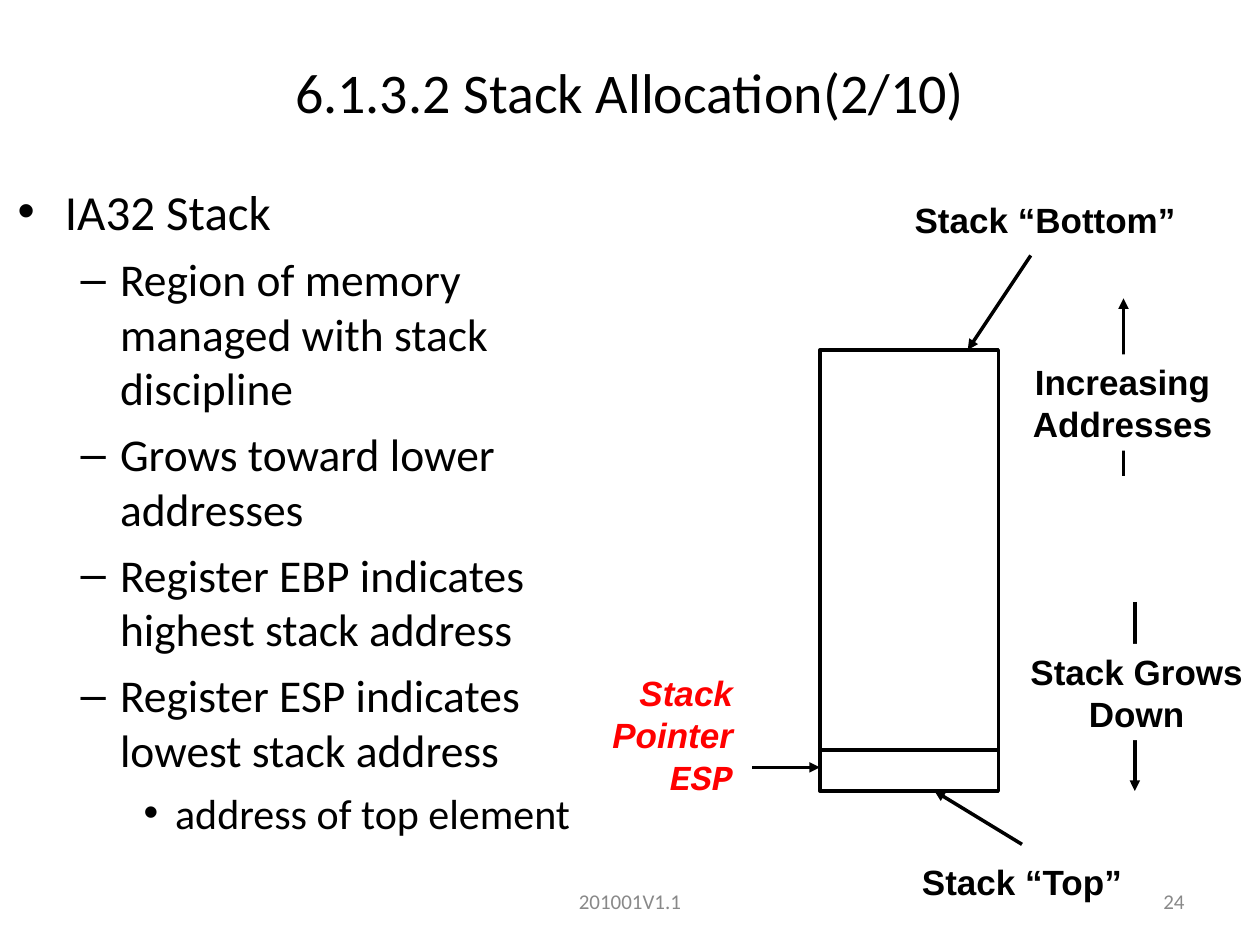
import pptx
import pptx.util
import pptx.dml.color
import pptx.enum.shapes
import pptx.enum.text
import pptx.oxml
import pptx.oxml.ns
import lxml.etree

Pt = pptx.util.Pt
Align = pptx.enum.text.PP_ALIGN
Anchor = pptx.enum.text.MSO_ANCHOR
Shape = pptx.enum.shapes.MSO_SHAPE
Line = pptx.enum.shapes.MSO_CONNECTOR.STRAIGHT

BLACK, WHITE, GREY, RED = "000000", "FFFFFF", "898989", "FF0000"

POINTS = [
    (0, "IA32 Stack"),
    (1, "Region of memory managed with stack discipline"),
    (1, "Grows toward lower addresses"),
    (1, "Register EBP indicates highest stack address"),
    (1, "Register ESP indicates lowest stack address"),
    (2, "address of top element"),
]
LEVELS = [
    {"char": "•", "size": 28, "left": 27, "hang": 27, "gap": 7},
    {"char": "–", "size": 26, "left": 58.5, "hang": 22.5, "gap": 6.5},
    {"char": "•", "size": 24, "left": 90, "hang": 18, "gap": 6},
]
LABELS = [
    (240, 258, 135, 55, ["Stack Grows", "Down"]),
    (241, 92.5, 117, 55, ["Increasing", "Addresses"]),
    (177, 378, 130, 31, ["Stack “Top”"]),
    (173.5, 0, 163.5, 31, ["Stack “Bottom”"]),
]


def color(code):
    return pptx.dml.color.RGBColor.from_string(code)


def style(par, face, size, code, align, bold=False, slant=False):
    par.alignment = align
    font = par.font
    font.name, font.size = face, Pt(size)
    font.bold, font.italic = bold, slant
    font.color.rgb = color(code)


def add_text(slide, box, wrap=True, anchor=Anchor.TOP):
    frame = slide.shapes.add_textbox(*map(Pt, box)).text_frame
    frame.word_wrap = wrap
    frame.vertical_anchor = anchor
    return frame


def add_lines(frame, lines):
    frame.text = "\n".join(lines)
    return frame.paragraphs


def add_line(slide, start, end, arrow=True):
    line = slide.shapes.add_connector(Line, *map(Pt, start + end))
    line.line.color.rgb = color(BLACK)
    line.line.width = Pt(2)
    tag = pptx.oxml.ns.qn
    if arrow:
        edge = line.line._get_or_add_ln()
        lxml.etree.SubElement(edge, tag("a:tailEnd"), type="triangle")
    lxml.etree.SubElement(line._element.spPr, tag("a:effectLst"))


def add_bullet(par, level):
    props = par._p.get_or_add_pPr()
    props.set("marL", str(Pt(level["left"])))
    props.set("indent", str(-Pt(level["hang"])))
    tag = pptx.oxml.ns.qn
    lxml.etree.SubElement(props, tag("a:buFont"), typeface="Arial")
    lxml.etree.SubElement(props, tag("a:buChar"), char=level["char"])


def add_title(slide, box, text):
    title = slide.shapes.title
    title.left, title.top, title.width, title.height = map(Pt, box)
    title.text_frame.vertical_anchor = Anchor.MIDDLE
    title.text_frame.text = text
    style(title.text_frame.paragraphs[0], "Calibri", 32, BLACK, Align.CENTER)


def add_list(slide, box):
    frame = add_text(slide, box)
    pars = add_lines(frame, [text for _, text in POINTS])
    for spot, (par, (depth, _)) in enumerate(zip(pars, POINTS)):
        level = LEVELS[depth]
        par.level = depth
        add_bullet(par, level)
        par.space_before = Pt(level["gap"] if spot else 0)
        style(par, "Calibri", level["size"], BLACK, Align.LEFT)


def add_label(slide, box, lines):
    label = slide.shapes.add_shape(Shape.RECTANGLE, *map(Pt, box))
    label.shadow.inherit = False
    label.fill.solid()
    label.fill.fore_color.rgb = color(WHITE)
    label.line.fill.background()
    frame = label.text_frame
    frame.word_wrap = False
    frame.vertical_anchor = Anchor.TOP
    for par in add_lines(frame, lines):
        style(par, "Arial", 20, BLACK, Align.CENTER, bold=True)


def add_stack(slide, box):
    left, top = box

    def at(x, y):
        return left + x, top + y

    wall, side, roof, floor, split = 126.5, 228.5, 90, 342, 318.5
    stack = slide.shapes.add_shape(
        Shape.RECTANGLE, *map(Pt, at(wall, roof) + (side - wall, floor - roof)))
    stack.shadow.inherit = False
    stack.fill.background()
    stack.line.color.rgb = color(BLACK)
    stack.line.width = Pt(2)
    add_line(slide, at(wall, split), at(side, split), arrow=False)

    arrows = [
        ((88, 328.5), (wall, 328.5)),
        ((306.5, 234), (306.5, floor)),
        ((300, 162), (300, 60.5)),
        ((242, 372.5), (192, floor)),
        ((247, 36), (211, roof)),
    ]
    for start, end in arrows:
        add_line(slide, at(*start), at(*end))
    for x, y, width, height, lines in LABELS:
        add_label(slide, at(x, y) + (width, height), lines)

    frame = add_text(slide, at(0.5, 270) + (83.5, 79), wrap=False)
    pars = add_lines(frame, ["Stack", "Pointer", "ESP"])
    for par, face in zip(pars, ["Arial", "Arial", "Courier New"]):
        style(par, face, 20, RED, Align.RIGHT, bold=True, slant=True)


def add_foot(slide, box):
    left, top, width, height = box
    parts = [
        (0, 228, "201001V1.1", Align.CENTER),
        (width - 168, 168, "24", Align.RIGHT),
    ]
    for x, span, text, align in parts:
        frame = add_text(slide, (left + x, top, span, height), anchor=Anchor.MIDDLE)
        style(add_lines(frame, [text])[0], "Calibri", 12, GREY, align)


def main():
    deck = pptx.Presentation()
    deck.slide_width, deck.slide_height = Pt(720), Pt(540)
    slide = deck.slides.add_slide(deck.slide_layouts[5])
    add_foot(slide, (246, 500.5, 438, 29))
    add_title(slide, (0, 21.5, 720, 61), "6.1.3.2 Stack Allocation(2/10)")
    add_list(slide, (3, 100, 363.5, 382))
    add_stack(slide, (342, 110))
    deck.save("out.pptx")


if __name__ == "__main__":
    main()
